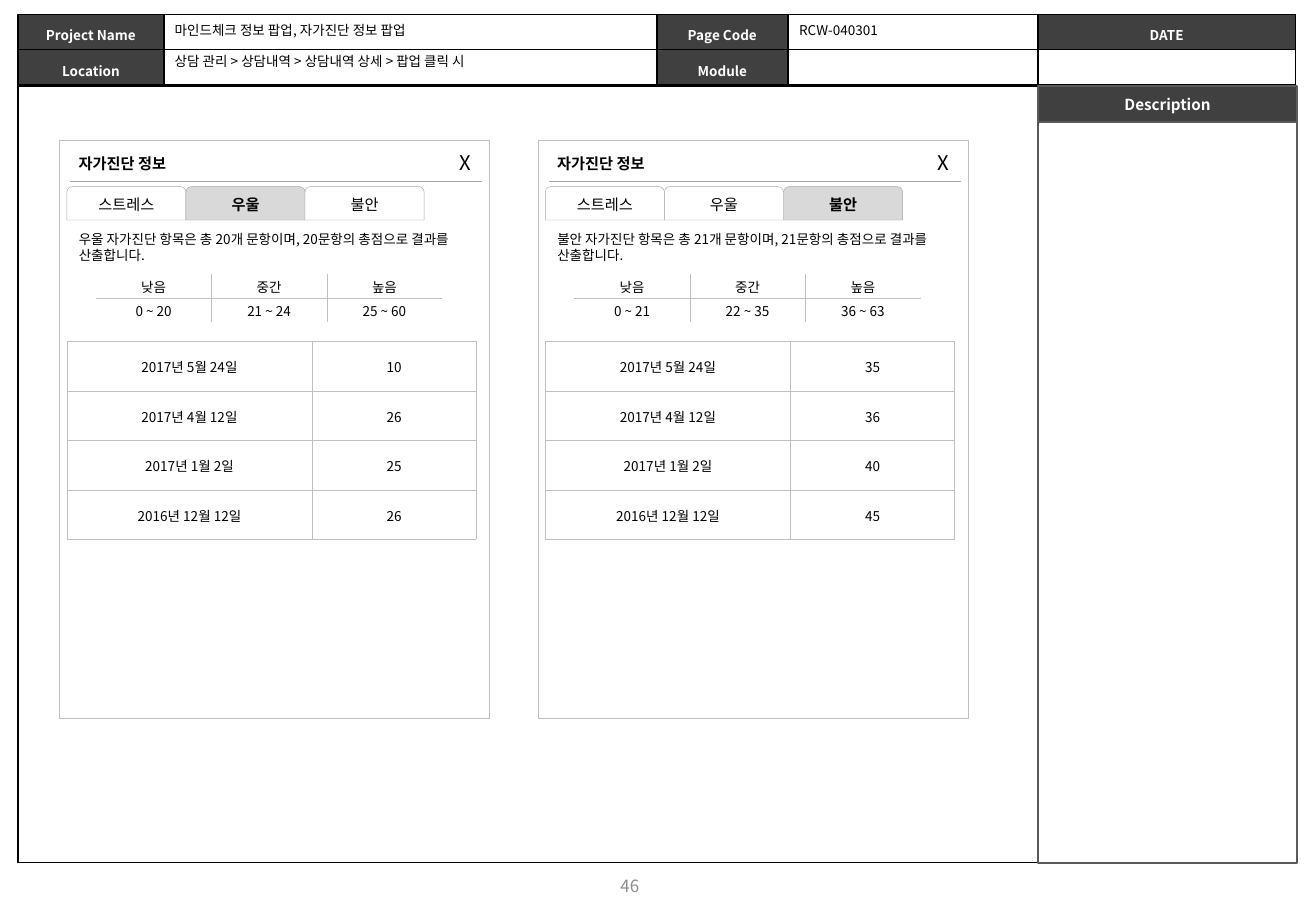
from lxml import etree
from pptx import Presentation
from pptx.dml.color import RGBColor
from pptx.enum.shapes import MSO_CONNECTOR, MSO_SHAPE
from pptx.enum.text import MSO_ANCHOR, MSO_AUTO_SIZE, PP_ALIGN
from pptx.oxml.ns import qn
from pptx.util import Pt

RECTANGLE = MSO_SHAPE.RECTANGLE
TAB = MSO_SHAPE.ROUND_2_SAME_RECTANGLE
STRAIGHT = MSO_CONNECTOR.STRAIGHT
MIDDLE, TOP = MSO_ANCHOR.MIDDLE, MSO_ANCHOR.TOP
CENTER, LEFT = PP_ALIGN.CENTER, PP_ALIGN.LEFT
FIT_SHAPE = MSO_AUTO_SIZE.SHAPE_TO_FIT_TEXT

FONT = "Noto Sans CJK KR"
BLACK = RGBColor(0x00, 0x00, 0x00)
WHITE = RGBColor(0xFF, 0xFF, 0xFF)
CHARCOAL = RGBColor(0x40, 0x40, 0x40)
PANEL_LINE = RGBColor(0x59, 0x59, 0x59)
PAGE_GRAY = RGBColor(0x8C, 0x8C, 0x8C)
TAB_LINE = RGBColor(0xA6, 0xA6, 0xA6)
GRID_LINE = RGBColor(0xBF, 0xBF, 0xBF)
ACTIVE_TAB = RGBColor(0xD9, 0xD9, 0xD9)

HAIRLINE = 0.25
TABS = ["스트레스", "우울", "불안"]
LEVELS = ["낮음", "중간", "높음"]
DATES = ["2017년 5월 24일", "2017년 4월 12일", "2017년 1월 2일", "2016년 12월 12일"]
HEADER_ROWS = [
    ["Project Name", "", "Page Code", "", "DATE"],
    ["Location", "", "Module", "", ""],
]
# Left edge, active tab, number of questions, score ranges, scores by date
POPUPS = [
    (318.9, "불안", 21, ["0 ~ 21", "22 ~ 35", "36 ~ 63"], ["35", "36", "40", "45"]),
    (35.3, "우울", 20, ["0 ~ 20", "21 ~ 24", "25 ~ 60"], ["10", "26", "25", "26"]),
]


def write(frame, text, size=8, color=BLACK, bold=False, align=CENTER):
    paragraph = frame.paragraphs[0]
    paragraph.alignment = align
    run = paragraph.add_run()
    run.text = text
    run.font.size = Pt(size)
    run.font.bold = bold
    run.font.color.rgb = color
    run.font.name = FONT
    etree.SubElement(run.font._element, qn("a:ea"), typeface=FONT)
    return paragraph


def add_label(slide, left, top, width, height, text, size=8, bold=False, wrap=False):
    """Add left-aligned text in a box that fits its text."""
    frame = slide.shapes.add_textbox(Pt(left), Pt(top), Pt(width), Pt(height)).text_frame
    frame.word_wrap = wrap
    frame.auto_size = FIT_SHAPE
    write(frame, text, size, bold=bold, align=LEFT)


def add_box(slide, kind, left, top, width, height, fill, line, weight=HAIRLINE):
    shape = slide.shapes.add_shape(kind, Pt(left), Pt(top), Pt(width), Pt(height))
    shape.shadow.inherit = False
    shape.fill.solid()
    shape.fill.fore_color.rgb = fill
    shape.line.color.rgb = line
    shape.line.width = Pt(weight)
    shape.text_frame.vertical_anchor = MIDDLE
    return shape


def add_divider(slide, left, top, width):
    line = slide.shapes.add_connector(STRAIGHT, Pt(left), Pt(top), Pt(left + width), Pt(top))
    line.line.color.rgb = TAB_LINE
    line.line.width = Pt(HAIRLINE)
    etree.SubElement(line._element.spPr, qn("a:effectLst"))


def set_borders(cell, colors, weight):
    """Colour the left, right, top and bottom borders; call before filling."""
    properties = cell._tc.get_or_add_tcPr()
    for side, color in zip("LRTB", colors):
        border = etree.SubElement(properties, qn(f"a:ln{side}"), w=str(Pt(weight)))
        fill = etree.SubElement(border, qn("a:solidFill"))
        etree.SubElement(fill, qn("a:srgbClr"), val=str(color))


def add_grid(slide, left, top, widths, row_height, rows, line, outer=None,
             weight=HAIRLINE, margins=(0.72, 0.72), anchor=MIDDLE, heading=False):
    """Add a table; outer colours its outside edge, heading darkens filled cells."""
    outer = outer or line
    table = slide.shapes.add_table(
        len(rows), len(widths), Pt(left), Pt(top),
        Pt(sum(widths)), Pt(row_height * len(rows))).table
    table.first_row = table.horz_banding = False
    for column, width in zip(table.columns, widths):
        column.width = Pt(width)
    for r, texts in enumerate(rows):
        table.rows[r].height = Pt(row_height)
        for c, text in enumerate(texts):
            cell = table.cell(r, c)
            edges = (c == 0, c == len(widths) - 1, r == 0, r == len(rows) - 1)
            set_borders(cell, [outer if edge else line for edge in edges], weight)
            dark = heading and text
            cell.fill.solid()
            cell.fill.fore_color.rgb = CHARCOAL if dark else WHITE
            cell.margin_left = cell.margin_right = Pt(margins[0])
            cell.margin_top = Pt(margins[1])
            cell.margin_bottom = Pt(margins[1] if heading else 0)
            cell.vertical_anchor = anchor
            if not text:
                ending = cell.text_frame.paragraphs[0]._p.get_or_add_endParaRPr()
                ending.set("sz", "800")
                continue
            paragraph = write(cell.text_frame, text, 8, WHITE if dark else BLACK, bool(dark))
            if heading:
                paragraph.line_spacing = 1.3


def add_page_frame(slide):
    add_grid(slide, 10.7, 50.9, [756.9], 460.5, [[""]], BLACK, weight=1)
    add_grid(slide, 10.7, 8.5, [86.5, 292.2, 77.6, 148.3, 152.6], 21, HEADER_ROWS, BLACK,
             weight=1, margins=(2.88, 2.88), anchor=TOP, heading=True)
    add_box(slide, RECTANGLE, 615.3, 72, 153.4, 439.5, WHITE, PANEL_LINE, 1)
    title = add_box(slide, RECTANGLE, 615.3, 50.9, 153.4, 21.4, CHARCOAL, PANEL_LINE, 1)
    write(title.text_frame, "Description", 9, WHITE, True)

    add_label(slide, 96.5, 9.4, 168.5, 17, "마인드체크 정보 팝업, 자가진단 정보 팝업")
    add_label(slide, 96.5, 28, 213.8, 17, "상담 관리 > 상담내역 > 상담내역 상세 > 팝업 클릭 시")
    add_label(slide, 466.6, 9.4, 61.9, 17, "RCW-040301")

    page = slide.shapes.add_textbox(Pt(282.2), Pt(510.5), Pt(182.2), Pt(28.8)).text_frame
    page.word_wrap = True
    page.vertical_anchor = MIDDLE
    write(page, "46", 10, PAGE_GRAY)


def add_popup(slide, left, active, questions, ranges, scores):
    inner = left + 4.3
    add_box(slide, RECTANGLE, left, 83.3, 254.9, 342.5, WHITE, GRID_LINE)
    add_label(slide, inner, 87.8, 72, 18, "자가진단 정보", 9, True)
    add_divider(slide, left + 6.5, 107.3, 244.1)
    add_label(slide, left + 230, 85.7, 21.6, 21.6, "X", 12)

    tab_width = 70.6
    for i, name in enumerate(TABS):
        chosen = name == active
        tab = add_box(slide, TAB, inner + i * tab_width, 110.6, tab_width, 19.8,
                      ACTIVE_TAB if chosen else WHITE, TAB_LINE)
        tab.text_frame.word_wrap = False
        write(tab.text_frame, name, 9, bold=chosen)

    summary = (f"{active} 자가진단 항목은 총 {questions}개 문항이며, "
               f"{questions}문항의 총점으로 결과를 산출합니다.")
    add_label(slide, inner, 133.2, 244.1, 26.6, summary, wrap=True)
    add_grid(slide, left + 21.6, 162.5, [68.4] * 3, 14.2, [LEVELS, ranges],
             GRID_LINE, outer=WHITE)
    add_grid(slide, inner, 202.3, [145.4, 97.2], 29.35, list(zip(DATES, scores)), GRID_LINE)


def main():
    presentation = Presentation()
    presentation.slide_width = Pt(780)
    presentation.slide_height = Pt(540)
    slide = presentation.slides.add_slide(presentation.slide_layouts[6])
    add_page_frame(slide)
    for popup in POPUPS:
        add_popup(slide, *popup)
    presentation.save("out.pptx")


if __name__ == "__main__":
    main()
